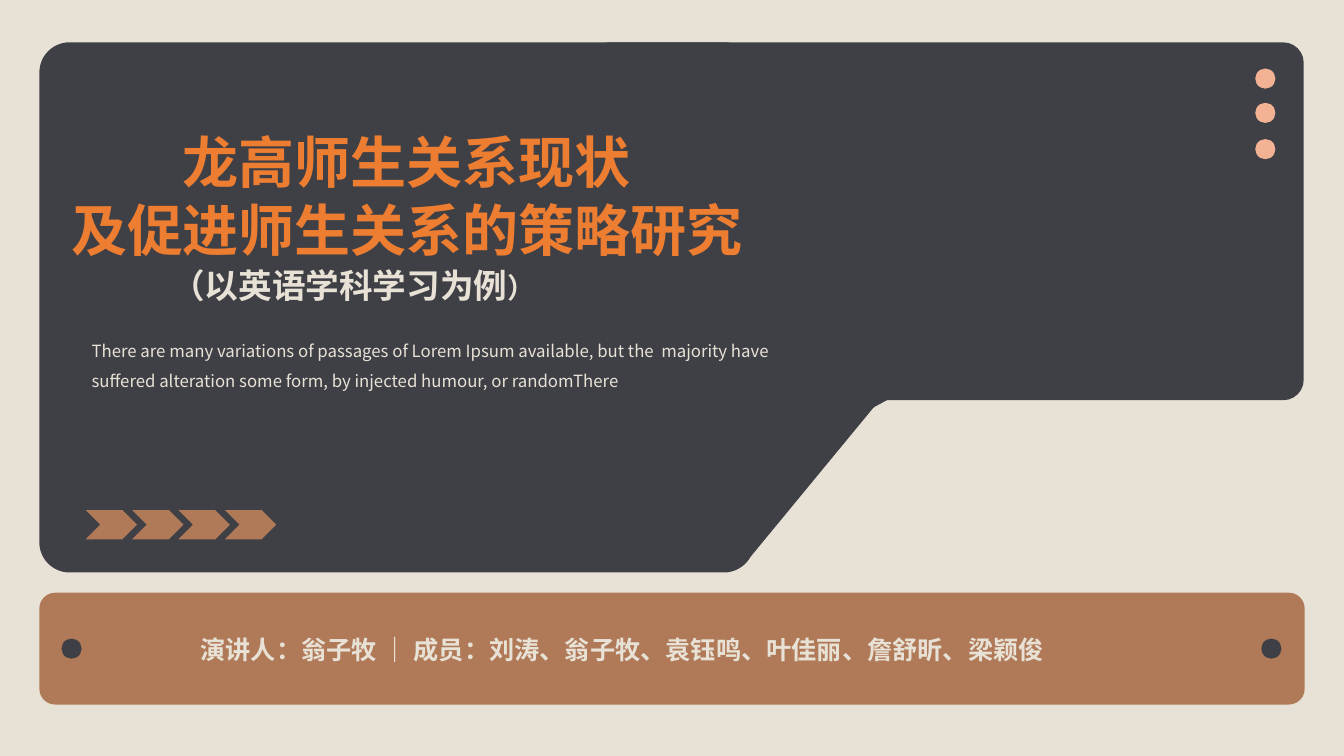
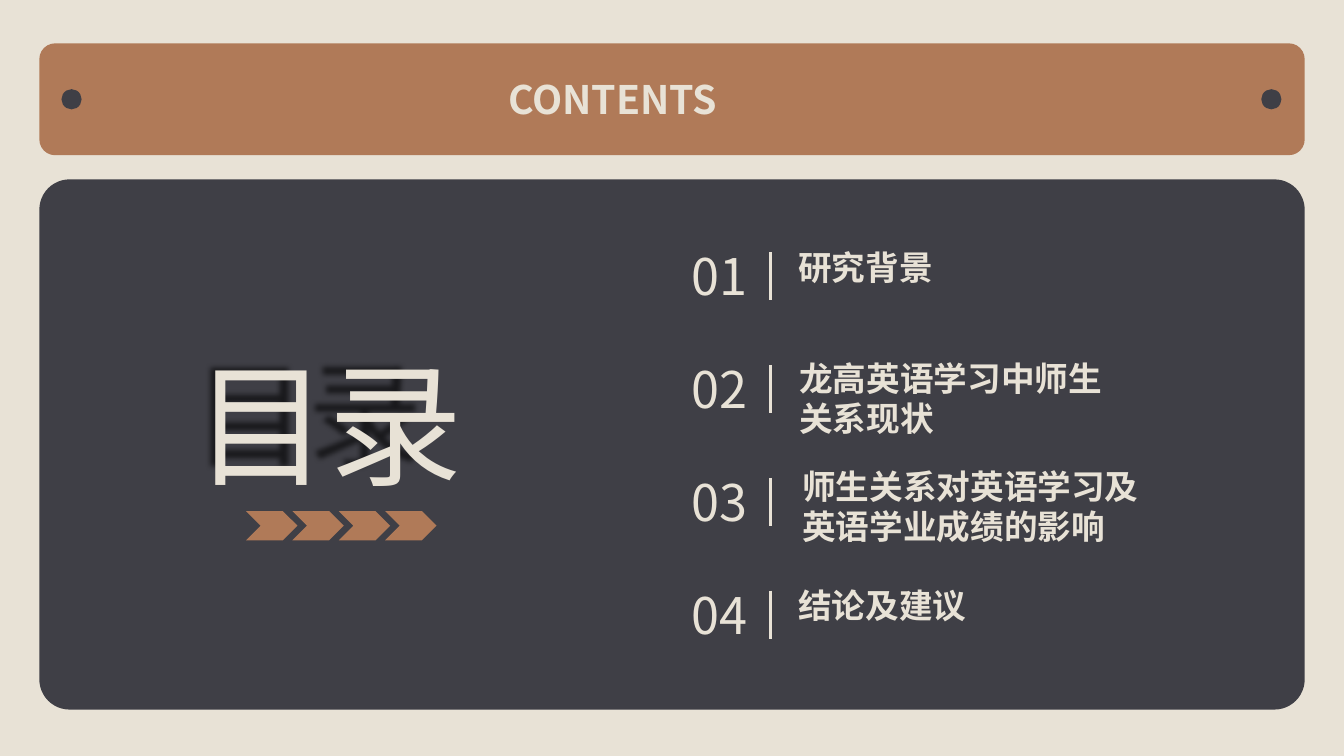
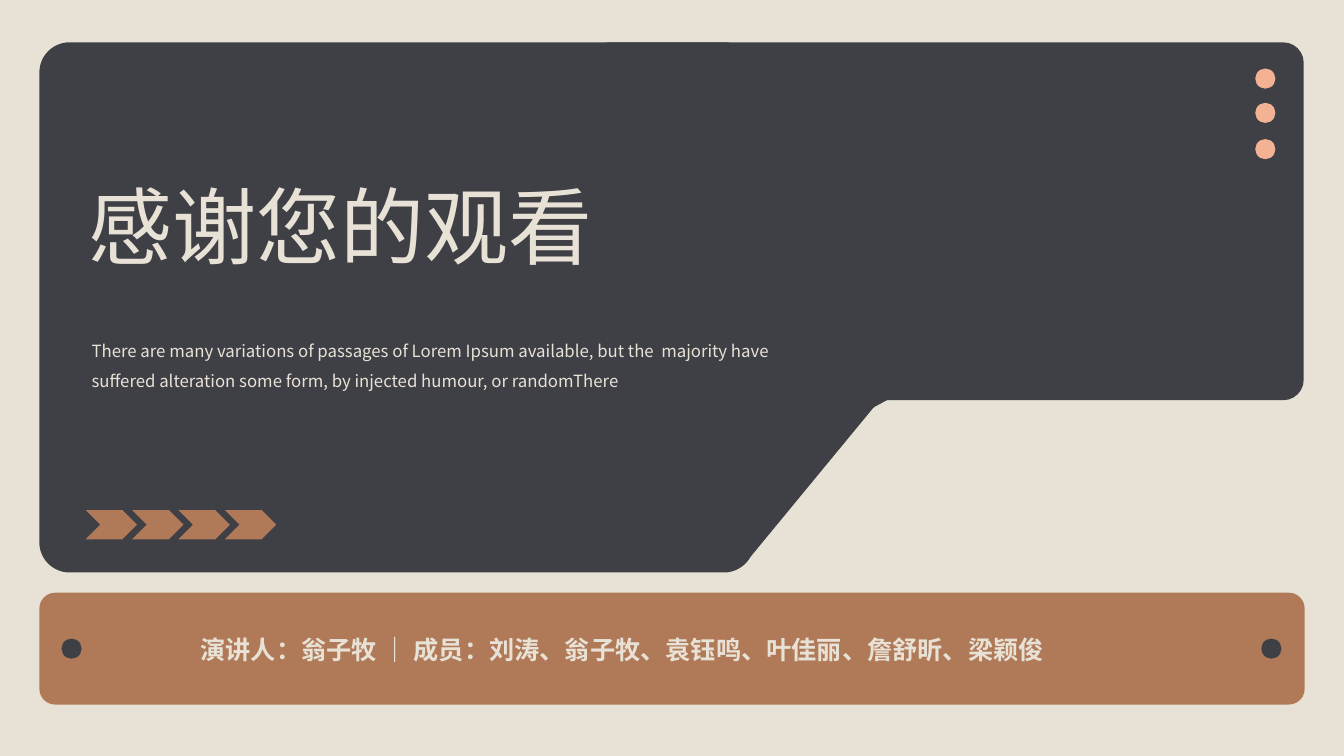
from dataclasses import dataclass

from lxml.etree import SubElement
from pptx import Presentation
from pptx.dml.color import RGBColor
from pptx.enum.shapes import MSO_CONNECTOR, MSO_SHAPE
from pptx.enum.text import MSO_ANCHOR, PP_ALIGN
from pptx.oxml.ns import qn
from pptx.util import Inches, Pt


@dataclass(frozen=True)
class Theme:
    font: str = "Noto Sans CJK SC"
    cream: str = "E8E2D6"
    dark: str = "3F3F46"
    clay: str = "B07A58"
    peach: str = "F2B293"
    orange: str = "ED7D31"
    contents: int = 96
    closing: int = 60
    title: int = 40
    number: int = 36
    banner: int = 28
    heading: int = 24
    bracket: int = 20
    speakers: int = 18
    body: int = 12


THEME = Theme()

# Content
COVER_TITLE = ["龙高师生关系现状", "及促进师生关系的策略研究"]
COVER_SUBTITLE = [("（以英语学科学习为例", THEME.heading), ("）", THEME.bracket)]
CLOSING_TITLE = "感谢您的观看"
INTRO = ("There are many variations of passages of Lorem Ipsum available, but the  majority have "
         "suffered alteration some form, by injected humour, or randomThere")
SPEAKERS = "演讲人：翁子牧 ｜ 成员：刘涛、翁子牧、袁钰鸣、叶佳丽、詹舒昕、梁颖俊"
CONTENTS_TITLE = "目录"
CONTENTS_BANNER = "CONTENTS"
# Chapter heading, then left, top, width and height of its box
CHAPTERS = [
    ("研究背景", (7.82, 2.4, 3.6, 0.5)),
    ("龙高英语学习中师生关系现状", (7.83, 3.5, 3.23, 0.91)),
    ("师生关系对英语学习及英语学业成绩的影响", (7.86, 4.57, 3.72, 0.91)),
    ("结论及建议", (7.82, 5.75, 3.22, 0.5)),
]

# Shared layout, in inches
MARGIN, FULL_WIDTH = 0.39, 12.55
BAND_HEIGHT, DOT = 1.11, 0.2
PANEL_HEIGHT, PANEL_ROUNDING, BAND_ROUNDING = 5.26, 0.057, 0.141
CHEVRON_COUNT, CHEVRON_STEP = 4, 0.46
CHAPTER_STEP = 1.12


def color(value):
    return RGBColor.from_string(value)


def inches(area):
    return [Inches(value) for value in area]


def paint(shape, fill):
    shape.shadow.inherit = False
    shape.line.fill.background()
    if fill:
        shape.fill.solid()
        shape.fill.fore_color.rgb = color(fill)
    else:
        shape.fill.background()
    return shape


def add_figure(page, kind, area, fill=None, rounding=None):
    shape = paint(page.shapes.add_shape(kind, *inches(area)), fill)
    if rounding is not None:
        shape.adjustments[0] = rounding
    return shape


def add_span(para, text, size, fill=THEME.cream, bold=False):
    span = para.add_run()
    span.text = text
    span.font.size = Pt(size)
    span.font.bold = bold
    span.font.color.rgb = color(fill)
    span.font.name = THEME.font
    SubElement(span.font._element, qn("a:ea"), typeface=THEME.font)


def add_text(page, area, paragraphs, fill=THEME.cream, bold=False,
             align=PP_ALIGN.LEFT, spacing=None, wrap=True):
    """Each paragraph is a list of (text, size) spans."""
    box = page.shapes.add_textbox(*inches(area))
    frame = box.text_frame
    frame.word_wrap = wrap
    for index, spans in enumerate(paragraphs):
        para = frame.add_paragraph() if index else frame.paragraphs[0]
        para.alignment = align
        if spacing:
            para.line_spacing = spacing
        for text, size in spans:
            add_span(para, text, size, fill, bold)
    return box


def add_page(deck):
    page = deck.slides.add_slide(deck.slide_layouts[6])
    page.background.fill.solid()
    page.background.fill.fore_color.rgb = color(THEME.cream)
    return page


def add_band(page, top):
    """Clay band with a dark dot at each end."""
    add_figure(page, MSO_SHAPE.ROUNDED_RECTANGLE, (MARGIN, top, FULL_WIDTH, BAND_HEIGHT),
               THEME.clay, BAND_ROUNDING)
    for left in (0.61, 12.51):
        add_figure(page, MSO_SHAPE.OVAL, (left, top + (BAND_HEIGHT - DOT) / 2, DOT, DOT), THEME.dark)


def add_chevrons(page, left, top):
    for index in range(CHEVRON_COUNT):
        add_figure(page, MSO_SHAPE.CHEVRON, (left + index * CHEVRON_STEP, top, 0.51, 0.29), THEME.clay)


def add_stepped_panel(page):
    """Dark panel: two rounded blocks joined by a slanted edge."""
    for area in ((5.84, 0.42, 7.09, 3.55), (MARGIN, 0.42, 7.09, PANEL_HEIGHT)):
        add_figure(page, MSO_SHAPE.ROUNDED_RECTANGLE, area, THEME.dark, PANEL_ROUNDING)
    slant = add_figure(page, MSO_SHAPE.RIGHT_TRIANGLE, (7.39, 1.96, 2.99, 3.63), THEME.dark)
    slant._element.spPr.xfrm.set("flipV", "1")
    corner = [(8.65, 4.05), (8.89, 3.92), (8.85, 3.91), (8.77, 3.93), (8.7, 3.98)]
    points = [inches(point) for point in corner]
    builder = page.shapes.build_freeform(*points[0])
    builder.add_line_segments(points[1:], close=True)
    paint(builder.convert_to_shape(), THEME.dark)


def add_framed_page(deck):
    """Frame shared by the cover and the closing page."""
    page = add_page(deck)
    add_stepped_panel(page)
    add_text(page, (0.81, 3.23, 7.09, 0.71), [[(INTRO, THEME.body)]], spacing=1.5)
    add_band(page, 5.88)
    for top in (0.68, 1.02, 1.38):
        add_figure(page, MSO_SHAPE.OVAL, (12.45, top, DOT, DOT), THEME.peach)
    add_chevrons(page, 0.85, 5.06)
    add_text(page, (1.89, 6.24, 9.55, 0.4), [[(SPEAKERS, THEME.speakers)]],
             bold=True, align=PP_ALIGN.JUSTIFY)
    return page


def add_text_shadow(box):
    """Soft shadow, smaller than the text and pinned to its top left."""
    effects = SubElement(box._element.spPr, qn("a:effectLst"))
    shadow = SubElement(effects, qn("a:outerShdw"), blurRad="50800", dist="25400", dir="5400000",
                        sx="85000", sy="85000", algn="tl", rotWithShape="0")
    black = SubElement(shadow, qn("a:srgbClr"), val="000000")
    SubElement(black, qn("a:alpha"), val="60000")


def add_divider(page, left, top, height):
    line = page.shapes.add_connector(MSO_CONNECTOR.STRAIGHT, *inches((left, top, left, top + height)))
    line.line.color.rgb = color(THEME.cream)
    line.line.width = Pt(2.25)
    SubElement(line._element.spPr, qn("a:effectLst"))


def build_cover(deck):
    page = add_framed_page(deck)
    # Wide enough for the longer title line to stay whole
    add_text(page, (0.5, 1.22, 7.07, 1.61), [[(text, THEME.title)] for text in COVER_TITLE],
             fill=THEME.orange, bold=True, align=PP_ALIGN.CENTER, wrap=False)
    add_text(page, (1.6, 2.58, 4.76, 0.5), [COVER_SUBTITLE], bold=True, align=PP_ALIGN.JUSTIFY)


def build_contents(deck):
    page = add_page(deck)
    add_figure(page, MSO_SHAPE.ROUNDED_RECTANGLE, (MARGIN, 1.78, FULL_WIDTH, PANEL_HEIGHT),
               THEME.dark, PANEL_ROUNDING)
    add_band(page, 0.43)
    add_text(page, (4.94, 0.7, 3.45, 0.57), [[(CONTENTS_BANNER, THEME.banner)]],
             bold=True, align=PP_ALIGN.JUSTIFY)
    title = add_text(page, (1.83, 3.33, 3.11, 1.72), [[(CONTENTS_TITLE, THEME.contents)]],
                     align=PP_ALIGN.JUSTIFY)
    add_text_shadow(title)
    add_chevrons(page, 2.44, 5.07)

    # Numbered chapters
    for index, (heading, area) in enumerate(CHAPTERS):
        offset = index * CHAPTER_STEP
        add_text(page, area, [[(heading, THEME.heading)]], bold=True)
        number = add_figure(page, MSO_SHAPE.OVAL, (6.51, 2.11 + offset, 1.25, 1.24))
        number.text_frame.vertical_anchor = MSO_ANCHOR.MIDDLE
        para = number.text_frame.paragraphs[0]
        para.alignment = PP_ALIGN.CENTER
        add_span(para, f"{index + 1:02}", THEME.number)
        add_divider(page, 7.64, 2.5 + offset, 0.48)


def build_closing(deck):
    page = add_framed_page(deck)
    add_text(page, (0.78, 1.68, 5.2, 1.11), [[(CLOSING_TITLE, THEME.closing)]], wrap=False)


def main():
    deck = Presentation()
    deck.slide_width, deck.slide_height = Inches(13.33), Inches(7.5)
    build_cover(deck)
    build_contents(deck)
    build_closing(deck)
    deck.save("out.pptx")


if __name__ == "__main__":
    main()
